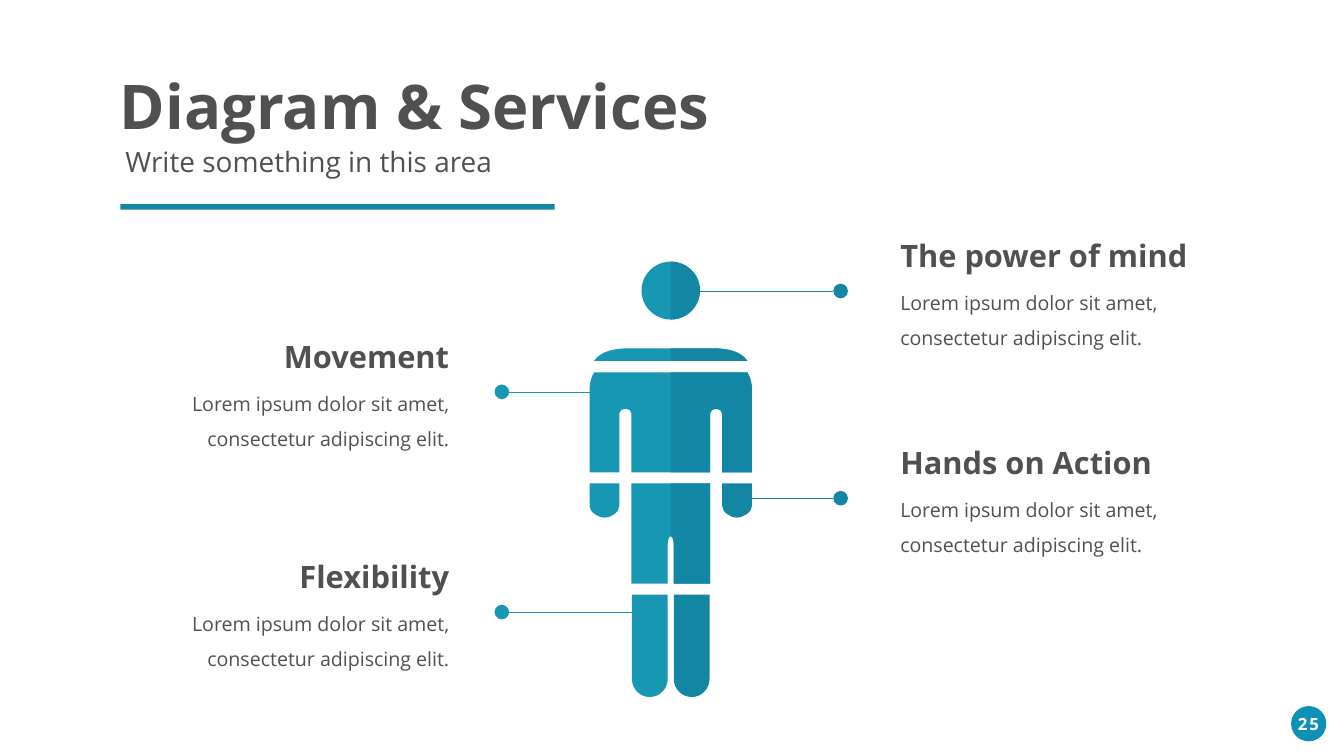
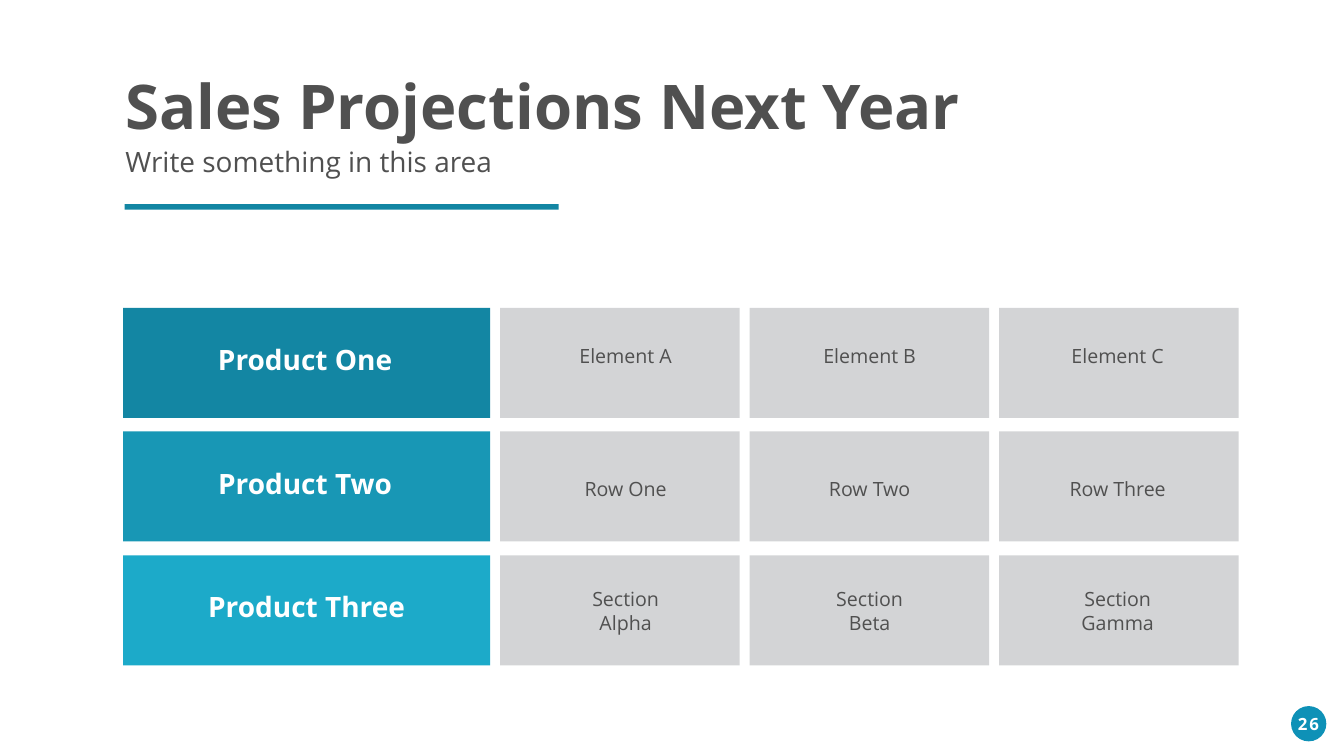
from dataclasses import dataclass
from lxml.etree import SubElement as Sub
from pptx import Presentation
from pptx.dml.color import RGBColor as RGB
from pptx.enum.shapes import MSO_CONNECTOR as Conn, MSO_SHAPE as Kind
from pptx.enum.text import MSO_AUTO_SIZE as Auto, PP_ALIGN as Align
from pptx.oxml.ns import qn
from pptx.util import Emu, Pt

PX = 9144


@dataclass(frozen=True)
class Theme:
    font: str = "Open Sans"
    ink: str = "505050"
    white: str = "FFFFFF"
    dark: str = "1386A3"
    mid: str = "1897B5"
    light: str = "1CAAC9"
    badge: str = "0E91B7"
    slate: str = "242C35"
    title: int = 88
    sub: int = 40
    head: int = 44
    body: int = 28
    page: int = 24


T = Theme()
LOREM = "Lorem ipsum dolor sit amet, consectetur adipiscing elit."


def emu(*nums):
    return [Emu(round(n * PX)) for n in nums]


def apply(item, values):
    for name, value in values.items():
        setattr(item, name, value)


def paint(shape, color, alpha=None):
    shape.shadow.inherit = False
    shape.line.fill.background()
    shape.fill.solid()
    shape.fill.fore_color.rgb = RGB.from_string(color)
    if alpha:
        node = shape.fill._xPr.find(qn("a:solidFill"))[0]
        Sub(node, qn("a:alpha")).set("val", str(alpha * 1000))
    return shape


def block(slide, kind, box, color, alpha=None):
    return paint(slide.shapes.add_shape(kind, *emu(*box)), color, alpha)


def write(slide, box, text, size, color=T.ink, bold=False, align=Align.LEFT,
          lines=None, wrap=True, space=None):
    frame = slide.shapes.add_textbox(*emu(*box)).text_frame
    apply(frame, {"word_wrap": wrap, "auto_size": Auto.SHAPE_TO_FIT_TEXT})
    para = frame.paragraphs[0]
    apply(para, {"alignment": align, "line_spacing": lines})
    run = para.add_run()
    run.text = text
    apply(run.font, {"name": T.font, "size": Pt(size), "bold": bold})
    run.font.color.rgb = RGB.from_string(color)
    if space:
        run._r.get_or_add_rPr().set("spc", str(space * 100))


def wire(slide, start, end, color):
    line = slide.shapes.add_connector(Conn.STRAIGHT, *emu(*start, *end))
    line.line.width = Pt(0.25)
    line.line.color.rgb = RGB.from_string(color)
    Sub(line._element.spPr, qn("a:effectLst"))


def trace(*steps):
    spots = []
    for step in steps:
        if len(step) == 3:
            spots += [(*step[0], True), (*step[1], True), (*step[2], False)]
        else:
            spots.append((*step, False))
    return spots


def flip(spots):
    return [(-x, y, pull) for x, y, pull in reversed(spots)]


def form(slide, origin, spots, color):
    left, top = origin
    ends = [tuple(emu(left + x, top + y)) for x, y, _ in spots]
    pen = slide.shapes.build_freeform(*ends[0])
    pen.add_line_segments(ends[1:], close=True)
    shape = paint(pen.convert_to_shape(), color)
    route = shape._element.find(".//" + qn("a:path"))
    curve = None
    for node, (_, _, pull) in zip(route.findall(qn("a:lnTo")), spots[1:]):
        if pull and curve is None:
            curve = Sub(route, qn("a:cubicBezTo"))
            node.addprevious(curve)
        if curve is not None:
            curve.append(node[0])
            route.remove(node)
        if not pull:
            curve = None


HEAD = trace((0, 0), ((32, 0), (58, 25), (58, 57)),
             ((58, 89), (32, 115), (0, 115)))
NECK = trace((0, 172), (82, 172), ((113, 172), (139, 178), (152, 197)),
             (0, 197))
CHEST = trace((0, 220), (152, 220), ((157, 228), (161, 239), (161, 254)),
              (161, 418), (102, 418), (102, 301),
              ((102, 289), (78, 289), (78, 301)), (78, 418), (0, 418))
HIPS = trace((0, 440), (78, 440), (78, 639), (6, 639), (6, 563),
             ((6, 551), (3, 545), (0, 545)))
HAND = trace((102, 440), (161, 440), (161, 485),
             ((161, 497), (144, 508), (131, 508)),
             ((118, 508), (102, 497), (102, 485)))
LEG = trace((6, 661), (77, 661), (77, 828),
            ((77, 848), (61, 864), (42, 864)),
            ((22, 864), (6, 848), (6, 828)))


def person(slide, box):
    left, top, width, _ = box
    mid = left + width / 2
    for limb in (LEG, HAND):
        form(slide, (mid, top), limb, T.dark)
        form(slide, (mid, top), flip(limb), T.mid)
    block(slide, Kind.OVAL, (mid - 58, top, 116, 115), T.mid)
    for half in (NECK, CHEST, HIPS):
        form(slide, (mid, top), half[1:] + flip(half)[1:-1], T.mid)
    for half in (HEAD, NECK, CHEST, HIPS):
        form(slide, (mid, top), half, T.dark)


def note(slide, box, title, reach, right):
    left, top, width, _ = box
    color = T.dark if right else T.mid
    align = Align.LEFT if right else Align.RIGHT
    dot = left - 123 if right else left + width + 80
    y = top + (114 if right else 113)
    wire(slide, (reach, y), (dot if right else dot + 29, y), color)
    block(slide, Kind.OVAL, (dot, y - 15, 29, 29), color)
    inset = 0 if right else width - 592
    write(slide, (left + inset, top, 592, 84), title, T.head, bold=True,
          align=align)
    write(slide, (left, top + 84, width, 151), LOREM, T.body, align=align,
          lines=1.5)


def header(slide, box, title, shift, bar):
    left, top, width, _ = box
    write(slide, (left + shift, top, width, 158), title, T.title, bold=True,
          wrap=False)
    write(slide, (left, top + 152, 756, 77), "Write something in this area",
          T.sub, wrap=False)
    block(slide, Kind.RECTANGLE, (left + bar, top + 275, 861, 11), T.dark)


def badge(slide, box, page):
    left, top, width, height = box
    block(slide, Kind.OVAL, box, T.badge)
    write(slide, (left - 5, top + 10, width + 9, height - 20), page, T.page,
          T.white, True, Align.CENTER, space=3)


def grid(slide, box, rows):
    left, top, _, _ = box
    colors = (T.dark, T.mid, T.light)
    drops = ((130, 64, 67, 240), (130, 310, 331, 240), (133, 553, 549, 217))
    mids = (997, 1481, 1973)
    for r, color in enumerate(colors):
        y = top + 491 * r // 2
        tag = block(slide, Kind.PENTAGON, (left, y, 728, 218), color)
        tag.adjustments[0] = 0
        for c in range(3):
            block(slide, Kind.RECTANGLE, (left + 748 + 495 * c, y, 475, 218),
                  T.slate, 20)
    for (name, *cells), (inset, lead, drop, width) in zip(rows, drops):
        write(slide, (left + inset, top + lead, 462, 77), name, T.sub,
              T.white, True, Align.CENTER)
        for mid, cell in zip(mids, cells):
            write(slide, (left + mid - width / 2, top + drop, width, 57),
                  cell, T.body, align=Align.CENTER)


def body_slide(slide, box):
    left, top, _, _ = box
    header(slide, (left + 239, top + 130, 1202, 286), "Diagram & Services",
           -11, 0)
    notes = (("Hands on Action", 1776, 875, 1463, True),
             ("Flexibility", 275, 1102, 1288, False),
             ("Movement", 275, 665, 1186, False),
             ("The power of mind", 1776, 464, 1331, True))
    for title, x, y, reach, right in notes:
        note(slide, (left + x, top + y, 626, 235), title, left + reach, right)
    person(slide, (left + 1169, top + 519, 323, 864))


def sales_slide(slide, box):
    left, top, _, _ = box
    rows = (("Product One", "Element A", "Element B", "Element C"),
            ("Product Two", "Row One", "Row Two", "Row Three"),
            ("Product Three", "Section Alpha", "Section Beta",
             "Section Gamma"))
    grid(slide, (left + 244, top + 611, 2213, 709), rows)
    header(slide, (left + 239, top + 130, 1693, 286),
           "Sales Projections Next Year", 0, 8)


def main():
    deck = Presentation()
    wide, high = 2666, 1500
    deck.slide_width, deck.slide_height = emu(wide, high)
    for page, build in enumerate((body_slide, sales_slide), 25):
        slide = deck.slides.add_slide(deck.slide_layouts[6])
        badge(slide, (2561, 1401, 70, 70), str(page))
        build(slide, (0, 0, wide, high))
    deck.save("out.pptx")


if __name__ == "__main__":
    main()
